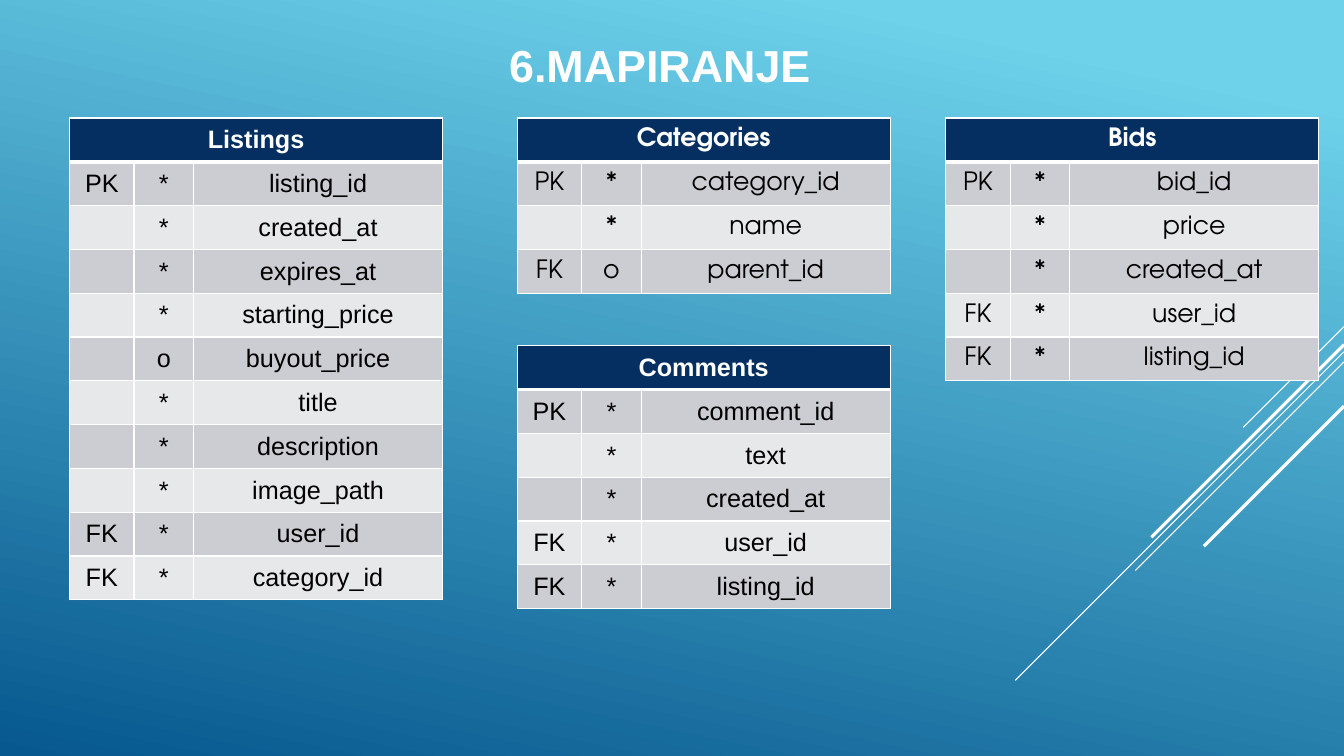
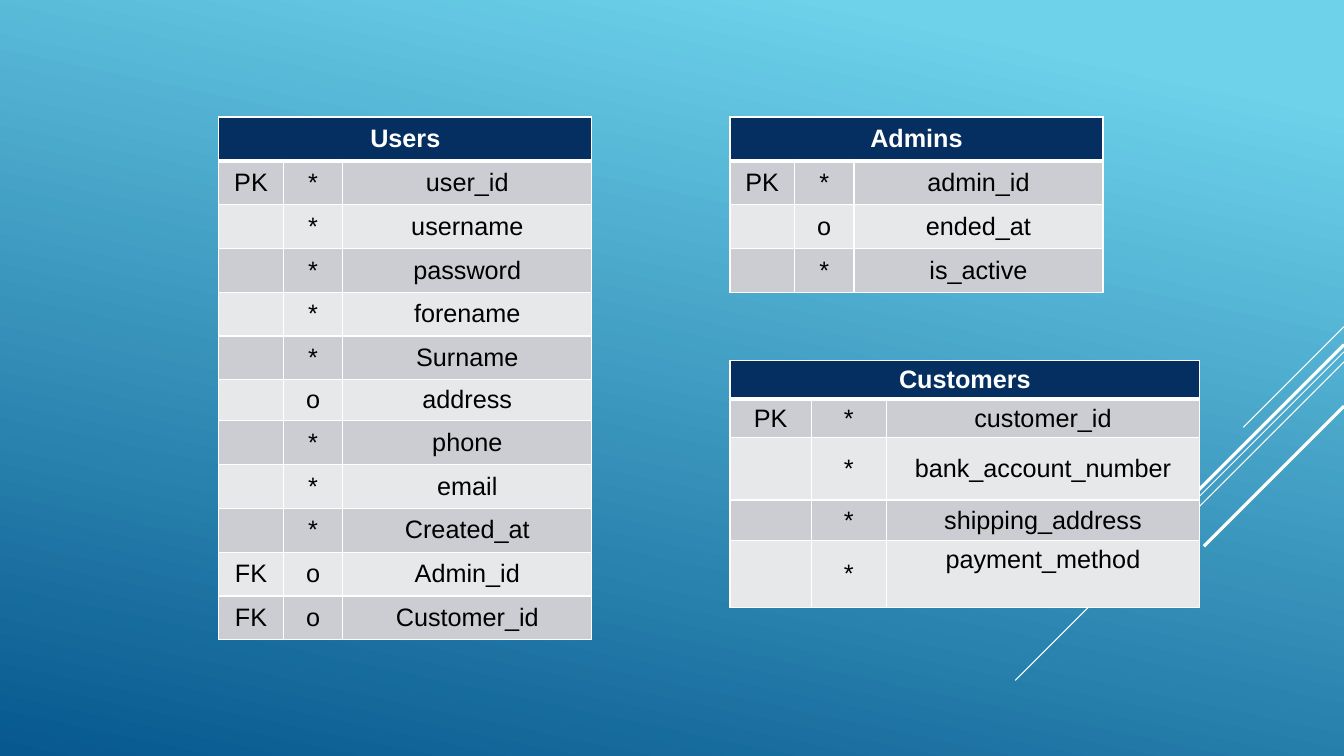
"""Builds two slides that map a database schema to tables of keys and columns."""
from dataclasses import dataclass, field
from typing import NamedTuple

from lxml.etree import SubElement
from pptx import Presentation
from pptx.dml.color import RGBColor
from pptx.enum.shapes import MSO_CONNECTOR
from pptx.enum.text import MSO_ANCHOR, PP_ALIGN
from pptx.oxml.ns import qn
from pptx.presentation import Presentation as Deck
from pptx.slide import Slide
from pptx.table import _Cell
from pptx.text.text import TextFrame
from pptx.util import Inches, Length, Pt

WHITE = RGBColor(0xFF, 0xFF, 0xFF)
BLACK = RGBColor(0x00, 0x00, 0x00)
NAVY = RGBColor(0x05, 0x2F, 0x61)
ODD_GREY = RGBColor(0xCC, 0xCD, 0xD2)
EVEN_GREY = RGBColor(0xE7, 0xE8, 0xEA)
SKY = RGBColor(0x6E, 0xD2, 0xEB)
DEEP_BLUE = RGBColor(0x06, 0x58, 0x8E)

BODY_FONT = "Arial"
ALTERNATE_FONT = "TeX Gyre Adventor"
SLIDE_WIDTH = Inches(13.33)
TABLE_WIDTH = Inches(3.7)
COLUMN_SHARES = (0.64 / 3.7, 0.59 / 3.7, 2.47 / 3.7)
ROW_HEIGHT = Length(Inches(1.74) // 4)
LOW_ROW = Inches(0.38)
THIN, THICK = Pt(1), Pt(3)


class Ray(NamedTuple):
    """A diagonal that falls leftwards from the right edge."""

    top: Length
    drop: Length
    weight: Length


class Column(NamedTuple):
    """One database column: key kind, required mark and name."""

    key: str
    mark: str
    name: str
    name_anchor: MSO_ANCHOR = MSO_ANCHOR.MIDDLE


@dataclass(frozen=True)
class Entity:
    """A database table and its place on the slide."""

    name: str
    left: Length
    top: Length
    columns: tuple[Column, ...]
    font: str = BODY_FONT
    width: Length = TABLE_WIDTH
    special_heights: dict[int, Length] = field(default_factory=dict)

    def row_heights(self) -> list[Length]:
        """Return the height of the header and of each column row."""
        return [self.special_heights.get(row, ROW_HEIGHT) for row in range(len(self.columns) + 1)]


RAYS = (
    Ray(Inches(3.24), Inches(1), Pt(0.75)),
    Ray(Inches(3.49), Inches(3.26), Pt(0.75)),
    Ray(Inches(3.59), Inches(2.07), Pt(0.75)),
    Ray(Inches(3.42), Inches(1.91), Pt(2.25)),
    Ray(Inches(4.03), Inches(1.39), Pt(2.25)),
)

MAPPING_ENTITIES = (
    Entity("Listings", Inches(0.69), Inches(1.17), (
        Column("PK", "*", "listing_id"),
        Column("", "*", "created_at"),
        Column("", "*", "expires_at"),
        Column("", "*", "starting_price"),
        Column("", "o", "buyout_price"),
        Column("", "*", "title"),
        Column("", "*", "description"),
        Column("", "*", "image_path"),
        Column("FK", "*", "user_id"),
        Column("FK", "*", "category_id"),
    )),
    Entity("Categories", Inches(5.13), Inches(1.17), (
        Column("PK", "*", "category_id"),
        Column("", "*", "name"),
        Column("FK", "o", "parent_id"),
    ), font=ALTERNATE_FONT),
    Entity("Comments", Inches(5.13), Inches(3.43), (
        Column("PK", "*", "comment_id"),
        Column("", "*", "text"),
        Column("", "*", "created_at"),
        Column("FK", "*", "user_id"),
        Column("FK", "*", "listing_id"),
    )),
    Entity("Bids", Inches(9.38), Inches(1.17), (
        Column("PK", "*", "bid_id"),
        Column("", "*", "price"),
        Column("", "*", "created_at"),
        Column("FK", "*", "user_id"),
        Column("FK", "*", "listing_id"),
    ), font=ALTERNATE_FONT),
)

ACCOUNT_ENTITIES = (
    Entity("Users", Inches(2.17), Inches(1.16), (
        Column("PK", "*", "user_id"),
        Column("", "*", "username"),
        Column("", "*", "password"),
        Column("", "*", "forename"),
        Column("", "*", "Surname"),
        Column("", "o", "address"),
        Column("", "*", "phone"),
        Column("", "*", "email"),
        Column("", "*", "Created_at"),
        Column("FK", "o", "Admin_id"),
        Column("FK", "o", "Customer_id"),
    ), special_heights={6: LOW_ROW}),
    Entity("Admins", Inches(7.24), Inches(1.16), (
        Column("PK", "*", "admin_id"),
        Column("", "o", "ended_at"),
        Column("", "*", "is_active"),
    )),
    Entity("Customers", Inches(7.24), Inches(3.58), (
        Column("PK", "*", "customer_id"),
        Column("", "*", "bank_account_number"),
        Column("", "*", "shipping_address"),
        Column("", "*", "payment_method", MSO_ANCHOR.TOP),
    ), width=Inches(4.66), special_heights={
        0: LOW_ROW, 1: LOW_ROW, 2: Inches(0.62), 3: LOW_ROW, 4: Inches(0.66),
    }),
)


def paint_background(deck: Deck) -> None:
    """Give the slide master the gradient that all slides inherit."""
    fill = deck.slide_master.background.fill
    fill.gradient()
    fill.gradient_angle = 360 - 102
    for stop, position, color in zip(fill.gradient_stops, (0.1, 1), (SKY, DEEP_BLUE)):
        stop.position = position
        stop.color.rgb = color


def write(frame: TextFrame, text: str, font: str, size: Length, color: RGBColor, bold: bool) -> None:
    """Write one centred line of text."""
    frame.text = text
    line = frame.paragraphs[0]
    line.alignment = PP_ALIGN.CENTER
    for run in line.runs:
        run.font.name = font
        run.font.size = size
        run.font.color.rgb = color
        run.font.bold = bold


def add_rays(slide: Slide) -> None:
    """Draw the diagonal rays at the right edge."""
    for ray in RAYS:
        line = slide.shapes.add_connector(
            MSO_CONNECTOR.STRAIGHT, SLIDE_WIDTH, ray.top, SLIDE_WIDTH - ray.drop, ray.top + ray.drop
        )
        line.line.color.rgb = WHITE
        line.line.width = ray.weight
        SubElement(line._element.spPr, qn("a:effectLst"))


def add_title(slide: Slide, title: str) -> None:
    """Write the slide title."""
    frame = slide.shapes.add_textbox(Inches(4.82), Inches(0.33), Inches(3.45), Inches(0.64)).text_frame
    frame.word_wrap = True
    write(frame, title, BODY_FONT, Pt(32), WHITE, True)


def style_cell(cell: _Cell, fill: RGBColor, top: Length, bottom: Length) -> None:
    """Give a cell white borders and a solid fill."""
    properties = cell._tc.get_or_add_tcPr()
    for side, weight in (("L", THIN), ("R", THIN), ("T", top), ("B", bottom)):
        border = SubElement(properties, qn(f"a:ln{side}"), w=str(int(weight)))
        SubElement(SubElement(border, qn("a:solidFill")), qn("a:srgbClr"), val=str(WHITE))
    cell.fill.solid()
    cell.fill.fore_color.rgb = fill
    cell.vertical_anchor = MSO_ANCHOR.MIDDLE


def add_entity(slide: Slide, entity: Entity) -> None:
    """Draw a database table with a header and one row for each column."""
    heights = entity.row_heights()
    table = slide.shapes.add_table(
        len(heights), len(COLUMN_SHARES), entity.left, entity.top, entity.width, Length(sum(heights))
    ).table
    table.first_row = table.horz_banding = False
    for grid_column, share in zip(table.columns, COLUMN_SHARES):
        grid_column.width = Length(round(entity.width * share))
    for row, height in zip(table.rows, heights):
        row.height = height

    for cell in table.rows[0].cells:
        style_cell(cell, NAVY, THIN, THICK)
    header = table.cell(0, 0)
    header.merge(table.cell(0, len(COLUMN_SHARES) - 1))
    write(header.text_frame, entity.name, entity.font, Pt(18), WHITE, True)

    for number, column in enumerate(entity.columns, start=1):
        cells = list(table.rows[number].cells)
        for cell, text in zip(cells, (column.key, column.mark, column.name)):
            style_cell(cell, ODD_GREY if number % 2 else EVEN_GREY, THICK if number == 1 else THIN, THIN)
            write(cell.text_frame, text, entity.font, Pt(18), BLACK, False)
        cells[-1].vertical_anchor = column.name_anchor


def add_schema_slide(deck: Deck, entities: tuple[Entity, ...], title: str = "") -> None:
    """Add a slide with rays, an optional title and the given entities."""
    slide = deck.slides.add_slide(deck.slide_layouts[6])
    add_rays(slide)
    if title:
        add_title(slide, title)
    for entity in entities:
        add_entity(slide, entity)


def main() -> None:
    """Build and save the presentation."""
    deck = Presentation()
    deck.slide_width = SLIDE_WIDTH
    deck.slide_height = Inches(7.5)
    paint_background(deck)
    add_schema_slide(deck, MAPPING_ENTITIES, "6.MAPIRANJE")
    add_schema_slide(deck, ACCOUNT_ENTITIES)
    deck.save("out.pptx")


if __name__ == "__main__":
    main()
